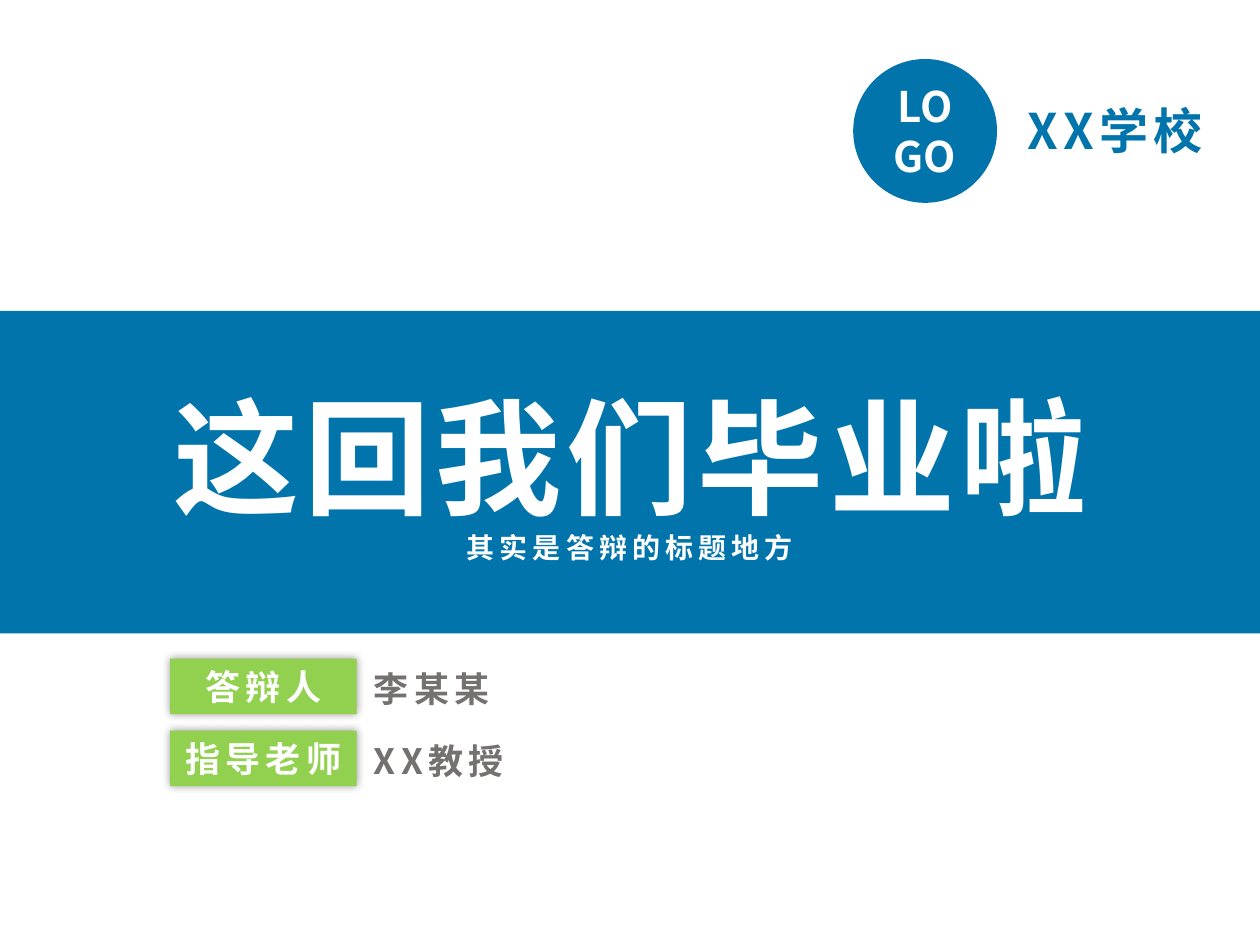
from lxml.etree import SubElement
from pptx import Presentation
from pptx.dml.color import RGBColor
from pptx.enum.shapes import MSO_SHAPE as Shape
from pptx.enum.text import MSO_ANCHOR as Anchor, MSO_AUTO_SIZE as AutoSize, PP_ALIGN as Align
from pptx.oxml.ns import qn
from pptx.util import Cm, Pt

BLUE = RGBColor(0x01, 0x74, 0xAB)
GREEN = RGBColor(0x92, 0xD1, 0x4F)
GREY = RGBColor(0x76, 0x71, 0x71)
WHITE = RGBColor(0xFF, 0xFF, 0xFF)


class Cover:
    font = "Noto Sans CJK SC"

    def __init__(self, slide):
        self.s = slide

    def add_lines(self, tf, lines, color, align, spacing):
        """Fill a text frame with one paragraph per (text, size) pair."""
        tf.word_wrap = True
        for i, (text, size) in enumerate(lines):
            p = tf.add_paragraph() if i else tf.paragraphs[0]
            p.alignment = align
            r = p.add_run()
            r.text = text
            r.font.size = Pt(size)
            r.font.bold = True
            r.font.color.rgb = color
            r.font.name = self.font
            rPr = r.font._element
            SubElement(rPr, qn("a:ea")).set("typeface", self.font)
            if spacing:
                rPr.set("spc", str(spacing * 100))

    def shape(self, kind, x, y, w, h, fill, lines=(), spacing=3):
        sp = self.s.shapes.add_shape(kind, Cm(x), Cm(y), Cm(w), Cm(h))
        sp.shadow.inherit = False
        sp.fill.solid()
        sp.fill.fore_color.rgb = fill
        sp.line.fill.background()
        sp.text_frame.vertical_anchor = Anchor.MIDDLE
        self.add_lines(sp.text_frame, lines, WHITE, Align.CENTER, spacing)
        return sp

    def text(self, x, y, w, h, lines, color, align=Align.LEFT):
        tf = self.s.shapes.add_textbox(Cm(x), Cm(y), Cm(w), Cm(h)).text_frame
        tf.auto_size = AutoSize.SHAPE_TO_FIT_TEXT
        self.add_lines(tf, lines, color, align, 3)

    def label(self, x, y, text):
        """Green tag with a soft shadow on all sides."""
        sp = self.shape(Shape.RECTANGLE, x, y, 3.76, 1.12, GREEN, [(text, 20)])
        effects = sp._element.spPr.find(qn("a:effectLst"))
        shadow = SubElement(effects, qn("a:outerShdw"), blurRad=str(Pt(5)),
                            dist="0", dir="0", algn="ctr", rotWithShape="0")
        black = SubElement(shadow, qn("a:srgbClr"), val="000000")
        SubElement(black, qn("a:alpha"), val="40000")


def main():
    prs = Presentation()
    prs.slide_width, prs.slide_height = Cm(25.4), Cm(19.05)
    cover = Cover(prs.slides.add_slide(prs.slide_layouts[6]))

    cover.shape(Shape.OVAL, 17.2, 1.19, 2.9, 2.9, BLUE, [("LOGO", 24)], spacing=0)
    cover.text(20.47, 1.9, 4.5, 1.45, [("XX学校", 28)], BLUE)

    cover.shape(Shape.RECTANGLE, 0, 6.27, 25.4, 6.5, BLUE)
    cover.text(2.95, 7.52, 19.5, 4.01,
               [("这回我们毕业啦", 72), ("其实是答辩的标题地方", 16)], WHITE, Align.CENTER)

    people = [("答辩人", "李某某"), ("指导老师", "XX教授")]
    for i, (role, name) in enumerate(people):
        y = 13.28 + 1.45 * i
        cover.label(3.43, y, role)
        cover.text(7.29, y + 0.05, 4.5, 1.12, [(name, 20)], GREY)

    prs.save("out.pptx")


if __name__ == "__main__":
    main()
